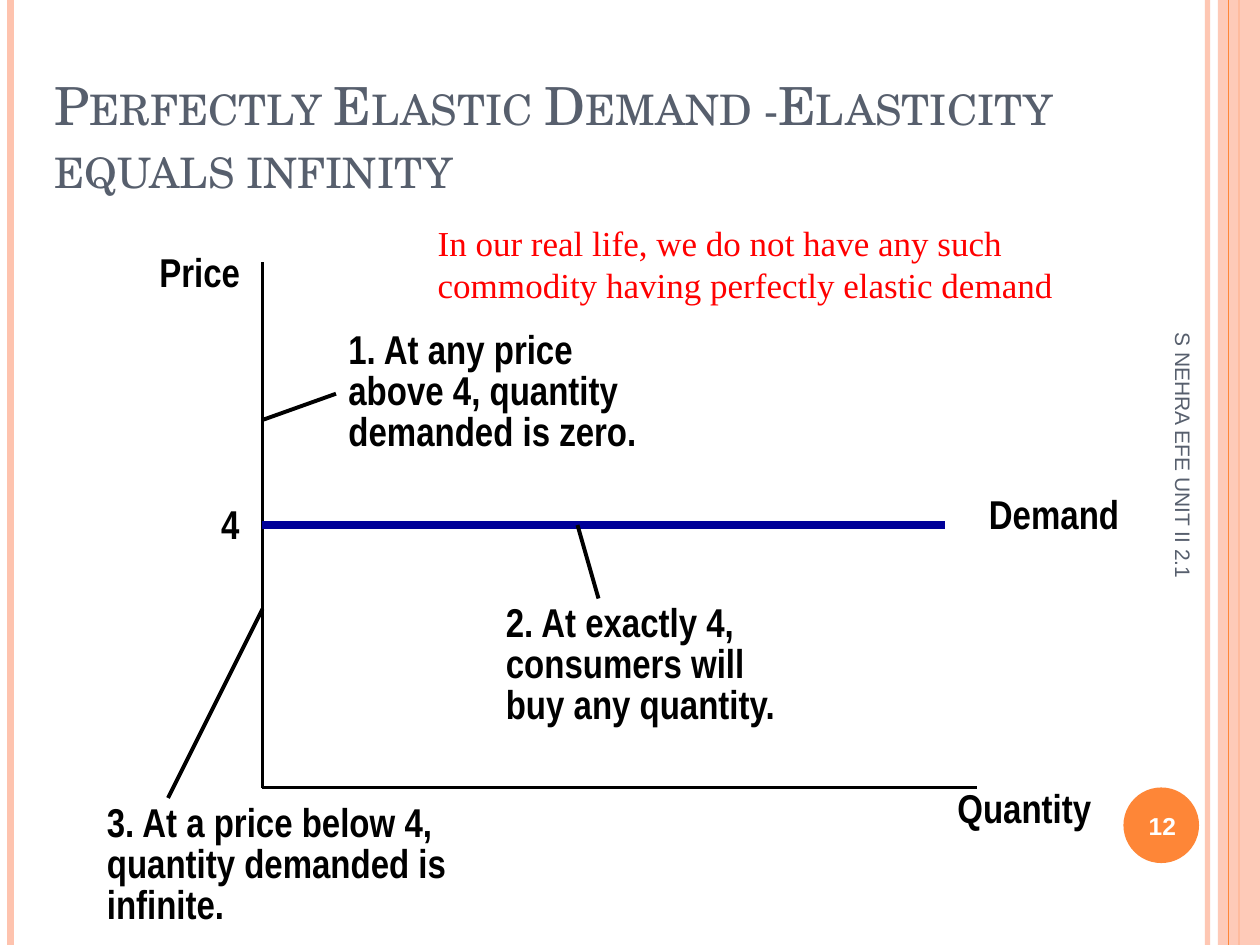
from dataclasses import dataclass

from lxml import etree
from pptx import Presentation
from pptx.dml.color import RGBColor
from pptx.enum.shapes import MSO_CONNECTOR, MSO_SHAPE
from pptx.enum.text import MSO_ANCHOR, MSO_AUTO_SIZE, PP_ALIGN
from pptx.oxml.ns import qn
from pptx.util import Inches, Pt

STRAIGHT = MSO_CONNECTOR.STRAIGHT
RECTANGLE, OVAL = MSO_SHAPE.RECTANGLE, MSO_SHAPE.OVAL
TOP, MIDDLE = MSO_ANCHOR.TOP, MSO_ANCHOR.MIDDLE
LEFT, CENTER, RIGHT = PP_ALIGN.LEFT, PP_ALIGN.CENTER, PP_ALIGN.RIGHT
NO_AUTOFIT = MSO_AUTO_SIZE.NONE
LEFT_SIDE = 1

COLUMNS, ROWS = 120, 90


@dataclass(frozen=True)
class TextStyle:
    font: str
    size: float
    color: str
    bold: bool = False


@dataclass(frozen=True)
class Theme:
    peach: str = "FEC3AE"
    orange: str = "FE8637"
    ink: str = "000000"
    paper: str = "FFFFFF"
    demand: str = "000099"
    thin: float = 2.25
    thick: float = 4.5
    title: TextStyle = TextStyle("TeX Gyre Schola", 30, "575F6D")
    label: TextStyle = TextStyle("Arial Narrow", 23, "000000", True)
    remark: TextStyle = TextStyle("Times New Roman", 20, "FF0000")
    footer: TextStyle = TextStyle("Arial", 12, "575F6D")
    number: TextStyle = TextStyle("Arial", 14, "FFFFFF", True)


class SlideBuilder:
    """Draws on one slide; places are columns and rows of a 120 by 90 grid."""

    def __init__(self, presentation, theme):
        self.theme = theme
        self.slide = presentation.slides.add_slide(presentation.slide_layouts[5])
        self.column = presentation.slide_width / COLUMNS
        self.row = presentation.slide_height / ROWS

    def place(self, *grid):
        units = (self.column, self.row) * 2
        return [round(value * unit) for value, unit in zip(grid, units)]

    def set_text(self, shape, lines, style, align=LEFT, anchor=TOP, wrap=False, spacing=None):
        frame = shape.text_frame
        frame.text = "\n".join(lines)
        frame.auto_size = NO_AUTOFIT
        frame.word_wrap = wrap
        frame.vertical_anchor = anchor
        for paragraph in frame.paragraphs:
            paragraph.alignment = align
            if spacing:
                paragraph.line_spacing = spacing
            font = paragraph.font
            font.name, font.size, font.bold = style.font, Pt(style.size), style.bold
            font.color.rgb = RGBColor.from_string(style.color)

    def title(self, text, grid):
        title = self.slide.shapes.title
        title.left, title.top, title.width, title.height = self.place(*grid)
        self.set_text(title, [text], self.theme.title, anchor=MIDDLE, wrap=True)
        for properties in title.element.iter(qn("a:defRPr")):
            properties.set("cap", "small")

    def text(self, lines, grid, style, fill=None, rotation=0, **layout):
        box = self.slide.shapes.add_textbox(*self.place(*grid))
        box.rotation = rotation
        if fill:
            box.fill.solid()
            box.fill.fore_color.rgb = RGBColor.from_string(fill)
        self.set_text(box, lines, style, **layout)
        return box

    def callout(self, lines, grid, wrap=False):
        return self.text(lines, grid, self.theme.label, self.theme.paper,
                         wrap=wrap, spacing=0.85)

    def line(self, start, end, color, width, opacity=100):
        line = self.slide.shapes.add_connector(STRAIGHT, *self.place(*start, *end))
        line.line.color.rgb = RGBColor.from_string(color)
        line.line.width = Pt(width)
        etree.SubElement(line.element.spPr, qn("a:effectLst"))
        self.fade(line, opacity)
        return line

    def block(self, kind, grid, color, opacity=100):
        block = self.slide.shapes.add_shape(kind, *self.place(*grid))
        block.shadow.inherit = False
        block.fill.solid()
        block.fill.fore_color.rgb = RGBColor.from_string(color)
        block.line.fill.background()
        self.fade(block, opacity)

    @staticmethod
    def fade(shape, opacity):
        """Set the opacity, in percent, of the shape's own colours."""
        if opacity < 100:
            for color in shape.element.spPr.iter(qn("a:srgbClr")):
                etree.SubElement(color, qn("a:alpha"), val=str(opacity * 1000))


def draw_frame(builder):
    theme = builder.theme

    def stripe(column, color, width, opacity=100):
        builder.line((column, 0), (column, ROWS), color, width, opacity)

    stripe(115, theme.peach, 3, 93)
    stripe(1, theme.peach, theme.thick)
    stripe(118, theme.orange, 1.5)
    builder.block(RECTANGLE, (116, 0, 4, ROWS), theme.peach, 87)
    stripe(117, theme.orange, 0.75)
    builder.block(OVAL, (107, 75, 7.2, 7.2), theme.orange)
    builder.text(["12"], (106.7, 75.2, 8, 6.8), theme.number, align=CENTER, anchor=MIDDLE)
    builder.text(["S NEHRA EFE UNIT II 2.1"], (91.7, 49.1, 42, 4.8), theme.footer,
                 rotation=90, anchor=MIDDLE, wrap=True)


def draw_diagram(builder):
    theme = builder.theme
    price_column, price_row, quantity_row = 25, 50, 75
    label_height, callout_height = 5.8, 13

    builder.line((price_column, 25), (price_column, quantity_row), theme.ink, theme.thin)
    builder.line((price_column, quantity_row), (93, quantity_row), theme.ink, theme.thin)
    for name, left, top, width, align in (
        ("Quantity", 90, 74, 15.1, LEFT),
        ("Price", 14, 23, 10, LEFT),
        ("Demand", 93, 46, 14.8, LEFT),
        ("4", 19, 47, 5, RIGHT),
    ):
        builder.text([name], (left, top, width, label_height), theme.label, align=align)
    builder.line((price_column, price_row), (90, price_row), theme.demand, theme.thick)

    above = builder.callout(["1. At any price", "above 4, quantity", "demanded is zero."],
                            (32, 31, 29.9, callout_height))
    pointer = builder.line((price_column, 40), (32, 37), theme.ink, theme.thin)
    pointer.end_connect(above, LEFT_SIDE)

    builder.callout(["2. At exactly 4,", "consumers will", "buy any quantity."],
                    (47, 57, 28.3, callout_height))
    builder.line((55, price_row), (57, 57), theme.ink, theme.thin)

    builder.callout(["3. At a price below 4,", "quantity demanded is infinite."],
                    (9, 76, 42, callout_height), wrap=True)
    builder.line((16, 76), (price_column, 58), theme.ink, theme.thin)


def main():
    presentation = Presentation()
    presentation.slide_width, presentation.slide_height = Inches(10), Inches(7.5)
    builder = SlideBuilder(presentation, Theme())
    draw_frame(builder)
    builder.title("Perfectly Elastic Demand -Elasticity equals infinity", (4, 5, 102, 16))
    draw_diagram(builder)
    builder.text(["In our real life, we do not have any such commodity having "
                  "perfectly elastic demand"], (40.5, 20.5, 68.4, 9.3),
                 builder.theme.remark, wrap=True)
    presentation.save("out.pptx")


if __name__ == "__main__":
    main()
